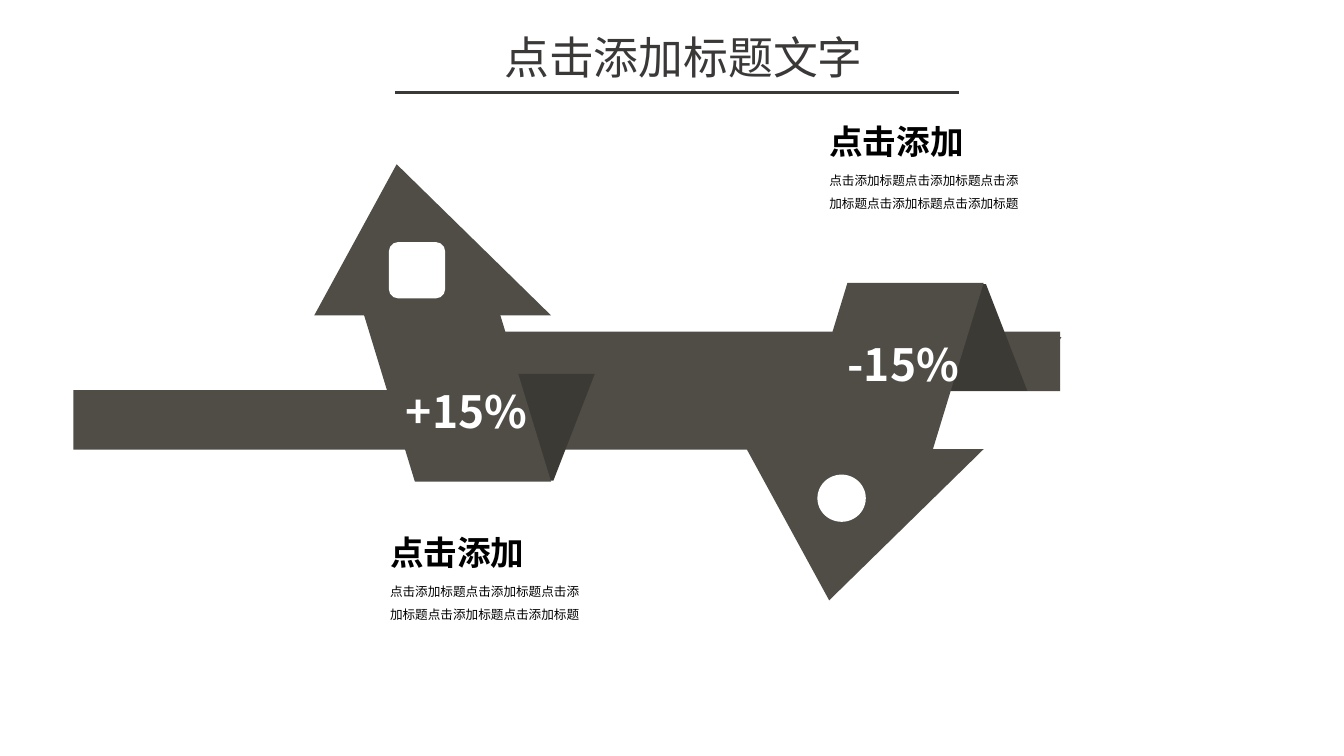
from lxml.etree import SubElement
from pptx import Presentation
from pptx.dml.color import RGBColor
from pptx.enum.shapes import MSO_CONNECTOR, MSO_SHAPE
from pptx.enum.text import MSO_ANCHOR, MSO_AUTO_SIZE, PP_ALIGN
from pptx.oxml.ns import qn
from pptx.util import Cm, Pt

FONT = "Noto Sans CJK SC"
COLORS = {"band": "504D47", "fold": "3C3A35", "title": "3B3838",
          "white": "FFFFFF", "black": "000000"}
TITLE = ("点击添加标题文字", (9.53, 0.6, 15.4, 1.63))
RULE = (9.96, 24.18, 2.34)
BARS = [(10.52, 8.36, 16.2, 1.5), (1.85, 9.83, 18.8, 1.5)]
PARTS = [
    (MSO_SHAPE.PARALLELOGRAM, (11.38, 9.42, 4.47, 1.35), 0.639, True, "band"),
    (MSO_SHAPE.PARALLELOGRAM, (10.52, 9.42, 4.47, 2.69), 0.387, False, "fold"),
    (MSO_SHAPE.ISOSCELES_TRIANGLE, (7.92, 4.14, 5.97, 3.81), 0.652, True, "band"),
    (MSO_SHAPE.PARALLELOGRAM, (9.17, 7.92, 4.72, 4.22), 0.305, True, "band"),
]
SHIFT, MIRROR = 10.9, 19.27
ARROWS = [
    {"down": False, "icon": (MSO_SHAPE.ROUNDED_RECTANGLE, (9.8, 6.1, 1.42, 1.42)),
     "value": "+15%", "spot": (9.98, 9.55), "note": (9.58, 13.28)},
    {"down": True, "icon": (MSO_SHAPE.OVAL, (20.6, 11.96, 1.22, 1.19)),
     "value": "-15%", "spot": (21.11, 8.36), "note": (20.65, 2.92)},
]
HEAD = "点击添加"
BODY = "点击添加标题点击添加标题点击添加标题点击添加标题点击添加标题"


def color(name):
    return RGBColor.from_string(COLORS[name])


def write(shape, text, size=9, ink="black", bold=False, wrap=True,
          align=PP_ALIGN.LEFT, space=1.0, anchor=MSO_ANCHOR.TOP):
    frame = shape.text_frame
    frame.word_wrap = wrap
    frame.auto_size = MSO_AUTO_SIZE.NONE
    frame.vertical_anchor = anchor
    para = frame.paragraphs[0]
    para.alignment = align
    para.line_spacing = space
    run = para.add_run()
    run.text = text
    run.font.name = FONT
    run.font.size = Pt(size)
    run.font.bold = bold
    run.font.color.rgb = color(ink)
    SubElement(run.font._element, qn("a:ea"), typeface=FONT)


def draw(slide, kind, box, fill, bend=None, across=False, down=False):
    shape = slide.shapes.add_shape(kind, *map(Cm, box))
    shape.shadow.inherit = False
    shape.fill.solid()
    shape.fill.fore_color.rgb = color(fill)
    shape.line.fill.background()
    if bend is not None:
        shape.adjustments[0] = bend
    frame = shape.element.spPr.get_or_add_xfrm()
    if across:
        frame.set("flipH", "1")
    if down:
        frame.set("flipV", "1")


def label(slide, box, text, **style):
    write(slide.shapes.add_textbox(*map(Cm, box)), text, **style)


def arrow(slide, item):
    down = item["down"]
    for kind, (x, y, w, h), bend, across, fill in PARTS:
        if down:
            x, y = x + SHIFT, MIRROR - y - h
        draw(slide, kind, (x, y, w, h), fill, bend, across, down)
    kind, box = item["icon"]
    draw(slide, kind, box, "white")
    label(slide, (*item["spot"], 3.15, 1.45), item["value"],
          size=31.7, ink="white", bold=True, wrap=False)
    x, y = item["note"]
    label(slide, (x, y, 3.94, 1.27), HEAD, size=24, bold=True, wrap=False)
    label(slide, (x, y + 1.12, 5.36, 1.35), BODY, space=1.5)


def main():
    deck = Presentation()
    deck.slide_width, deck.slide_height = Cm(33.87), Cm(19.05)
    slide = deck.slides.add_slide(deck.slide_layouts[5])
    text, box = TITLE
    title = slide.shapes.title
    title.left, title.top, title.width, title.height = map(Cm, box)
    write(title, text, size=32, ink="title", align=PP_ALIGN.CENTER,
          anchor=MSO_ANCHOR.MIDDLE)
    for bar in BARS:
        draw(slide, MSO_SHAPE.RECTANGLE, bar, "band")
    for item in ARROWS:
        arrow(slide, item)
    left, right, y = map(Cm, RULE)
    rule = slide.shapes.add_connector(MSO_CONNECTOR.STRAIGHT, left, y, right, y)
    rule.line.color.rgb = color("title")
    rule.line.width = Pt(2)
    SubElement(rule.element.spPr, qn("a:effectLst"))
    deck.save("out.pptx")


if __name__ == "__main__":
    main()
